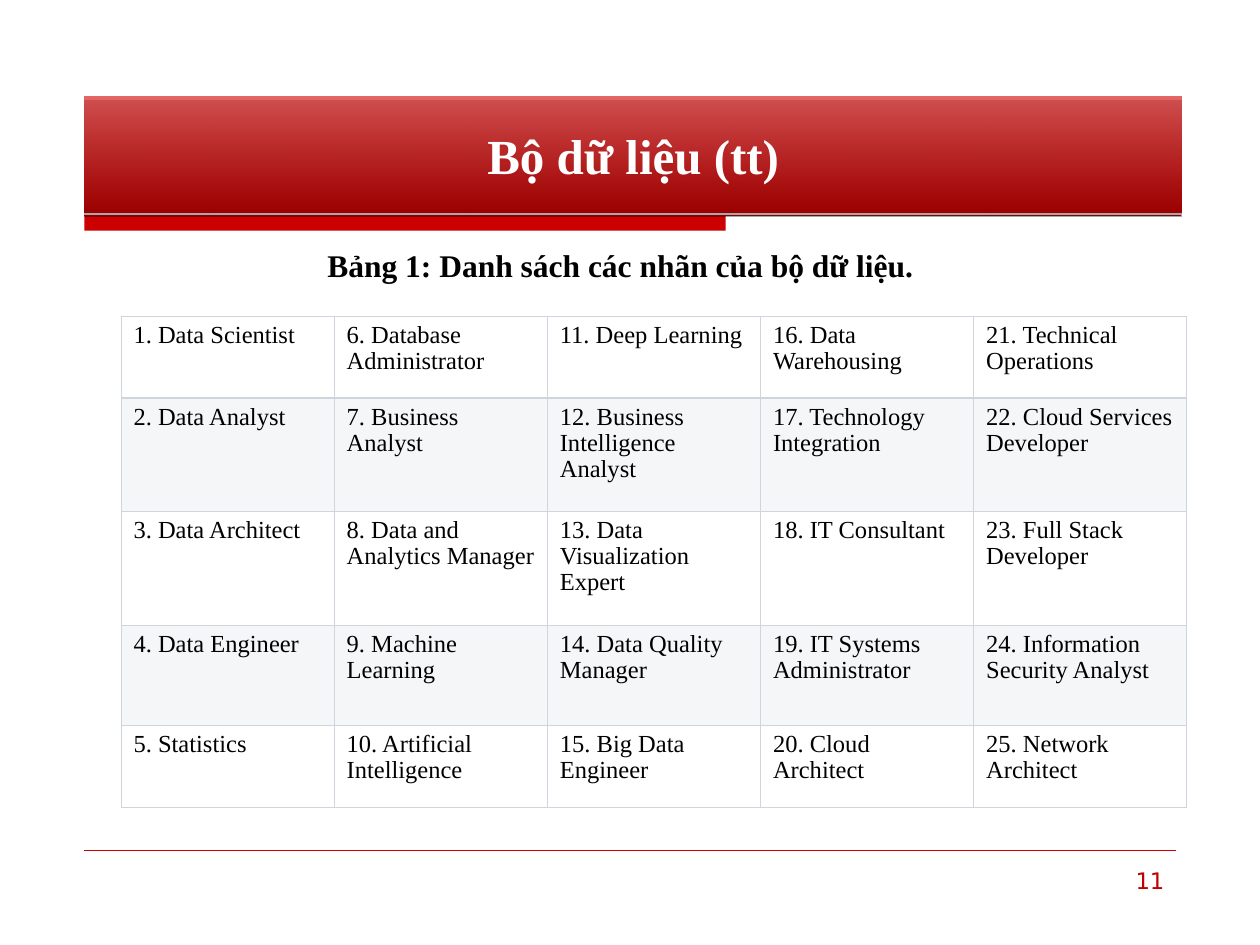
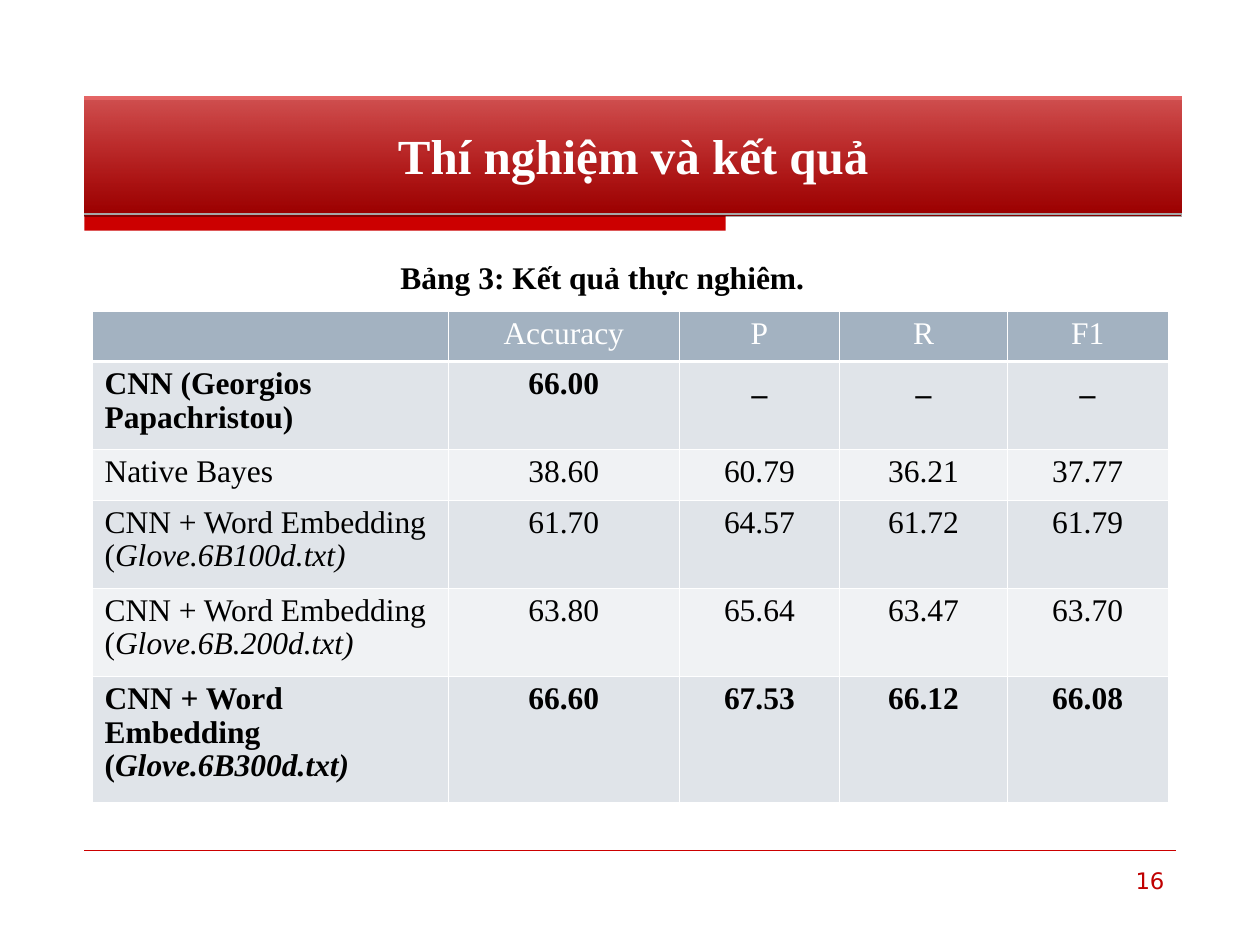
from dataclasses import dataclass

from lxml import etree
from pptx import Presentation
from pptx.dml.color import RGBColor
from pptx.enum.shapes import MSO_CONNECTOR, MSO_SHAPE
from pptx.enum.text import MSO_ANCHOR, PP_ALIGN
from pptx.oxml import parse_xml
from pptx.oxml.ns import nsdecls, qn
from pptx.util import Inches, Pt

LEFT, CENTER, RIGHT = PP_ALIGN.LEFT, PP_ALIGN.CENTER, PP_ALIGN.RIGHT
MIDDLE = MSO_ANCHOR.MIDDLE
RECTANGLE, STRAIGHT = MSO_SHAPE.RECTANGLE, MSO_CONNECTOR.STRAIGHT


@dataclass(frozen=True)
class Theme:
    serif: str = "Times New Roman"
    sans: str = "DejaVu Sans"
    black: str = "000000"
    white: str = "FFFFFF"
    accent: str = "CC0000"
    number: str = "C00000"
    band_dark: str = "9D0000"
    band_light: str = "D30000"
    grid: str = "CED5DD"
    stripe: str = "F5F6F8"
    header: str = "A3B2C1"
    row_dark: str = "E0E4E9"
    row_light: str = "F0F2F4"
    title_size: int = 28
    body_size: int = 18
    label_size: int = 14
    number_size: int = 13


theme = Theme()

presentation = Presentation()
presentation.slide_width, presentation.slide_height = Inches(10), Inches(7.5)
# The grid has 100 columns and 100 rows.
COLUMN = presentation.slide_width / 100
ROW = presentation.slide_height / 100


def place(left, top, width, height):
    """Turn grid columns and rows into slide lengths."""
    return [round(n * unit) for n, unit in zip((left, top, width, height), (COLUMN, ROW) * 2)]


def write(frame, text, size=theme.body_size, color=theme.black, font=theme.serif,
          bold=False, italic=False, align=LEFT, spacing=1.0):
    """Append a run to the first paragraph of a text frame."""
    paragraph = frame.paragraphs[0]
    paragraph.alignment = align
    paragraph.line_spacing = spacing
    run = paragraph.add_run()
    run.text = text
    run.font.name, run.font.size = font, Pt(size)
    run.font.bold, run.font.italic = bold, italic
    run.font.color.rgb = RGBColor.from_string(color)


labels = [
    "Data Scientist", "Data Analyst", "Data Architect", "Data Engineer", "Statistics",
    "Database Administrator", "Business Analyst", "Data and Analytics Manager",
    "Machine Learning", "Artificial Intelligence",
    "Deep Learning", "Business Intelligence Analyst", "Data Visualization Expert",
    "Data Quality Manager", "Big Data Engineer",
    "Data Warehousing", "Technology Integration", "IT Consultant",
    "IT Systems Administrator", "Cloud Architect",
    "Technical Operations", "Cloud Services Developer", "Full Stack Developer",
    "Information Security Analyst", "Network Architect",
]
numbered = [f"{number}. {label}" for number, label in enumerate(labels, 1)]

# A cell is a text, or a pair of an upright and an italic text.
results = [
    ["", "Accuracy", "P", "R", "F1"],
    ["CNN (Georgios Papachristou)", "66.00", "_", "_", "_"],
    ["Native Bayes", "38.60", "60.79", "36.21", "37.77"],
    [("CNN + Word Embedding (", "Glove.6B100d.txt)"), "61.70", "64.57", "61.72", "61.79"],
    [("CNN + Word Embedding (", "Glove.6B.200d.txt)"), "63.80", "65.64", "63.47", "63.70"],
    [("CNN + Word Embedding (", "Glove.6B300d.txt)"), "66.60", "67.53", "66.12", "66.08"],
]

pages = [
    dict(title="Bộ dữ liệu (tt)", number="11",
         caption="Bảng 1: Danh sách các nhãn của bộ dữ liệu.",
         caption_place=(25, 25.33, 70.8, 5.33),
         cells=[numbered[row::5] for row in range(5)],
         corner=(9.6, 33.47), columns=[16.92] * 5,
         rows=[8.67, 12, 12, 10.67, 8.67],
         fills=[theme.white, theme.stripe] * 2 + [theme.white],
         border=theme.grid, rule=0.96, size=theme.label_size,
         first_color=theme.black, bold_rows=(), value_align=LEFT),
    dict(title="Thí nghiệm và kết quả", number="16",
         caption="Bảng 3: Kết quả thực nghiêm.",
         caption_place=(30.8, 26.67, 35.8, 5.33),
         cells=results,
         corner=(7.3, 32.93), columns=[28.3, 18.3, 12.75, 13.3, 12.75],
         rows=[5.33, 9.33, 5.33, 9.33, 9.33, 13.33],
         fills=[theme.header] + [theme.row_dark, theme.row_light] * 2 + [theme.row_dark],
         border=theme.white, rule=1.47, size=theme.body_size,
         first_color=theme.white, bold_rows=(1, 5), value_align=CENTER),
]

for page in pages:
    slide = presentation.slides.add_slide(presentation.slide_layouts[6])
    shapes = slide.shapes

    # Accent bar under the title, and the two rules
    accent_bar = shapes.add_shape(RECTANGLE, *place(6.7, 22.8, 50.9, 1.6))
    accent_bar.shadow.inherit = False
    accent_bar.fill.solid()
    accent_bar.fill.fore_color.rgb = RGBColor.from_string(theme.accent)
    accent_bar.line.fill.background()
    for right, level, weight in ((93.7, 22.8, 0.75), (93.3, 90, 0.25)):
        rule = shapes.add_connector(STRAIGHT, *place(6.7, level, right, level))
        rule.line.color.rgb = RGBColor.from_string(theme.accent)
        rule.line.width = Pt(weight)
        etree.SubElement(rule._element.spPr, qn("a:effectLst"))

    # Title band: gradient from the bottom up, with a thin shadow below
    title_band = shapes.add_shape(RECTANGLE, *place(6.7, 10.27, 87.1, 12.27))
    title_band.line.fill.background()
    properties = title_band._element.spPr
    properties.find(qn("a:prstGeom")).addnext(parse_xml(
        f'<a:gradFill {nsdecls("a")} rotWithShape="1"><a:gsLst>'
        f'<a:gs pos="0"><a:srgbClr val="{theme.band_dark}"/></a:gs>'
        f'<a:gs pos="100000"><a:srgbClr val="{theme.band_light}">'
        '<a:alpha val="60000"/></a:srgbClr></a:gs></a:gsLst>'
        '<a:lin ang="16200000" scaled="0"/></a:gradFill>'))
    properties.append(parse_xml(
        f'<a:effectLst {nsdecls("a")}>'
        f'<a:outerShdw blurRad="0" dist="{Pt(1.8)}" dir="5400000" rotWithShape="0">'
        f'<a:srgbClr val="{theme.black}"><a:alpha val="35000"/></a:srgbClr>'
        '</a:outerShdw></a:effectLst>'))
    title_band.text_frame.vertical_anchor = MIDDLE
    title_band.text_frame.word_wrap = True
    write(title_band.text_frame, page["title"], size=theme.title_size,
          color=theme.white, bold=True, align=CENTER)

    caption = shapes.add_textbox(*place(*page["caption_place"]))
    caption.text_frame.word_wrap = True
    write(caption.text_frame, page["caption"], bold=True)

    number_box = shapes.add_textbox(*place(71.7, 91.07, 21.7, 6.93))
    number_box.text_frame.word_wrap = True
    write(number_box.text_frame, page["number"], size=theme.number_size,
          color=theme.number, font=theme.sans, align=RIGHT)

    # Table
    columns, rows = page["columns"], page["rows"]
    table = shapes.add_table(len(rows), len(columns),
                             *place(*page["corner"], sum(columns), sum(rows))).table
    table.first_row = table.horz_banding = False
    for index, width in enumerate(columns):
        table.columns[index].width = round(width * COLUMN)
    for row, height in enumerate(rows):
        table.rows[row].height = round(height * ROW)
        for column, content in enumerate(page["cells"][row]):
            cell = table.cell(row, column)
            cell.fill.solid()
            cell.fill.fore_color.rgb = RGBColor.from_string(page["fills"][row])
            weights = dict(lnL=0.45, lnR=0.45,
                           lnT=page["rule"] if row == 1 else 0.45,
                           lnB=page["rule"] if row == 0 else 0.45)
            for position, (side, weight) in enumerate(weights.items()):
                cell._tc.tcPr.insert(position, parse_xml(
                    f'<a:{side} {nsdecls("a")} w="{Pt(weight)}"><a:solidFill>'
                    f'<a:srgbClr val="{page["border"]}"/></a:solidFill></a:{side}>'))
            pieces = content if isinstance(content, tuple) else (content,)
            for piece, text in enumerate(pieces):
                if text:
                    write(cell.text_frame, text, size=page["size"],
                          color=page["first_color"] if row == 0 else theme.black,
                          bold=row in page["bold_rows"], italic=piece == 1,
                          align=page["value_align"] if column else LEFT, spacing=0.96)

presentation.save("out.pptx")
